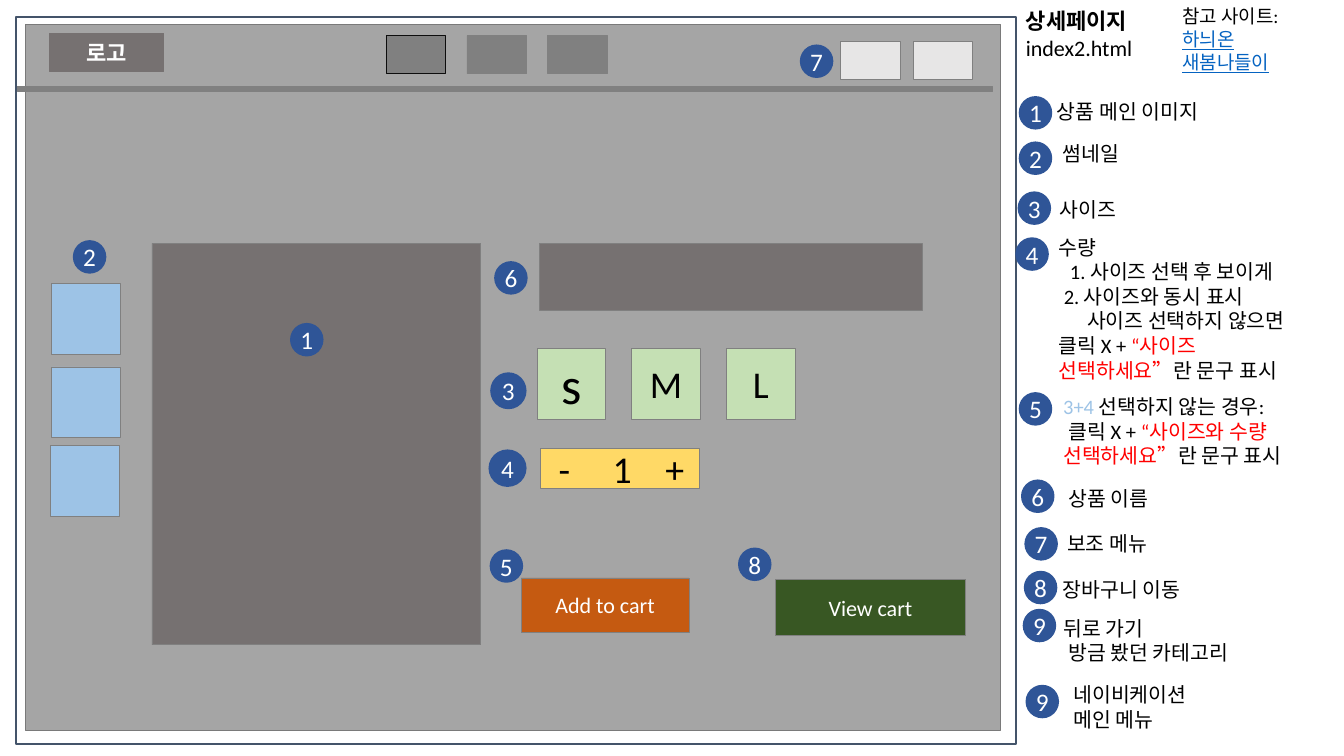
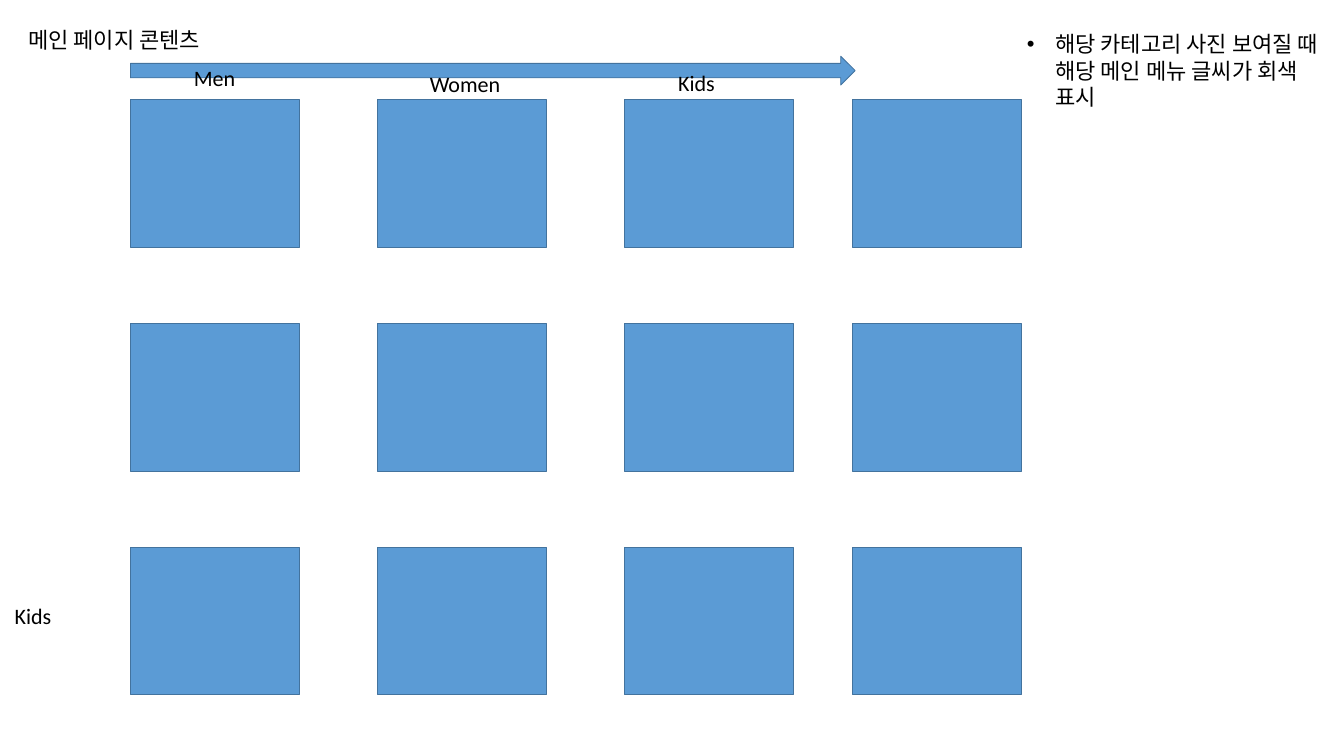
from collections import namedtuple
from lxml.etree import SubElement
from pptx import Presentation
from pptx.dml.color import RGBColor
from pptx.enum.shapes import MSO_SHAPE
from pptx.enum.text import MSO_ANCHOR, PP_ALIGN
from pptx.oxml.ns import qn
from pptx.util import Inches, Pt

# The grid: ten cells to the inch
COLS, ROWS = 237, 133.3
FONT = "Calibri"

BLACK = RGBColor(0x00, 0x00, 0x00)
WHITE = RGBColor(0xFF, 0xFF, 0xFF)
RED = RGBColor(0xFF, 0x00, 0x00)
LINK = RGBColor(0x05, 0x63, 0xC1)
NAVY = RGBColor(0x2F, 0x55, 0x97)
SLATE = RGBColor(0x44, 0x54, 0x6A)
SKY = RGBColor(0x9D, 0xC3, 0xE6)
BLUE = RGBColor(0x5B, 0x9B, 0xD5)
STEEL = RGBColor(0x43, 0x73, 0x9E)
PAGE = RGBColor(0xA5, 0xA5, 0xA5)
RIM = RGBColor(0x7A, 0x7A, 0x7A)
GRAY = RGBColor(0x80, 0x80, 0x80)
DARK = RGBColor(0x76, 0x71, 0x71)
PALE = RGBColor(0xE7, 0xE6, 0xE6)
INK = RGBColor(0x0D, 0x0D, 0x0D)
MINT = RGBColor(0xC5, 0xE0, 0xB4)
GOLD = RGBColor(0xFF, 0xD9, 0x66)
RUST = RGBColor(0xC5, 0x5A, 0x11)
GREEN = RGBColor(0x38, 0x57, 0x23)


class Box(namedtuple("Box", "x y w h")):
    """An area measured in grid cells."""

    def sub(self, x, y, w, h):
        return Box(self.x + x, self.y + y, w, h)

    def emu(self):
        return [Inches(n / 10) for n in self]


# A paragraph: runs of (text, colour) and a first-line indent in cells
Para = namedtuple("Para", "runs indent", defaults=(0,))


def style(para, size, color, bold=False, align=PP_ALIGN.LEFT):
    para.alignment = align
    font = para.font
    font.name, font.size, font.bold = FONT, Pt(size), bold
    font.color.rgb = color


def write(frame, lines, size, color=BLACK, **look):
    """Fill a text frame; a line is a string or a Para."""
    frame.word_wrap = True
    for i, line in enumerate(lines):
        para = frame.add_paragraph() if i else frame.paragraphs[0]
        style(para, size, color, **look)
        if isinstance(line, str):
            line = Para([(line, color)])
        if line.indent:
            para._p.get_or_add_pPr().set("indent", str(Inches(line.indent / 10)))
        for text, tint in line.runs:
            run = para.add_run()
            run.text = text
            if tint != color:
                run.font.color.rgb = tint


def label(slide, box, lines, size=28, **look):
    frame = slide.shapes.add_textbox(*box.emu()).text_frame
    write(frame, lines, size, **look)
    return frame


def draw(slide, box, fill, edge=GRAY, weight=1, kind=MSO_SHAPE.RECTANGLE,
         text=None, size=28, color=WHITE, bold=False):
    shape = slide.shapes.add_shape(kind, *box.emu())
    shape.shadow.inherit = False
    if fill is None:
        shape.fill.background()
    else:
        shape.fill.solid()
        shape.fill.fore_color.rgb = fill
    shape.line.color.rgb = edge
    shape.line.width = Pt(weight)
    if text:
        shape.text_frame.vertical_anchor = MSO_ANCHOR.MIDDLE
        write(shape.text_frame, [text], size, color, bold=bold, align=PP_ALIGN.CENTER)
    return shape


def badge(slide, box, num, x, y, w=5.6, h=5.6):
    shape = draw(slide, box.sub(x, y, w, h), NAVY, NAVY, 2.25, MSO_SHAPE.OVAL, str(num), 32)
    frame = shape.text_frame
    frame.margin_left = frame.margin_right = 0


# ---- Slide 1: product page ----
def header(slide, box):
    draw(slide, box.sub(5.6, 1.6, 20.2, 6.7), DARK, DARK, text="로고", bold=True)
    # Main menu, first entry active
    for i in range(3):
        draw(slide, box.sub(65 + 14.25 * i, 2, 10.5, 6.7), GRAY, GRAY if i else INK)
    # Side menu
    for i in range(2):
        draw(slide, box.sub(145.1 + 12.8 * i, 3, 10.5, 6.7), PALE)
    badge(slide, box, 7, 138.1, 3.7)
    draw(slide, box.sub(0, box.h - 1, box.w, 1), GRAY)


def gallery(slide, box):
    for x, y in ((0.2, 7.5), (0.2, 22.2), (0, 36.1)):
        draw(slide, box.sub(x, y, 12.1, 12.5), SKY)
    draw(slide, box.sub(17.9, 0.4, 58, 70.8), DARK)
    badge(slide, box, 1, 42.4, 14.6)
    badge(slide, box, 2, 4.1, 0)


def count(slide, box):
    """Quantity field with minus, number and plus on tab stops."""
    frame = draw(slide, box, GOLD).text_frame
    frame.vertical_anchor = MSO_ANCHOR.MIDDLE
    frame.margin_left = Inches(0.32)
    write(frame, ["-\t1\t+"], 48)
    props = frame.paragraphs[0]._p.get_or_add_pPr()
    tabs = SubElement(props, qn("a:tabLst"))
    for stop in (1.12, 2.05):
        SubElement(tabs, qn("a:tab"), pos=str(Inches(stop)), algn="ctr")
    props.insert(0, tabs)


def order(slide, box):
    draw(slide, box.sub(8.9, 0, 67.4, 11.8), DARK)
    for i, (name, size) in enumerate((("s", 66), ("M", 48), ("L", 48))):
        draw(slide, box.sub(8.4 + 16.7 * i, 18.5, 12.1, 12.5), MINT,
             text=name, size=size, color=BLACK)
    count(slide, box.sub(9, 36.1, 28, 7.2))
    draw(slide, box.sub(5.6, 59, 29.6, 9.6), RUST, text="Add to cart")
    draw(slide, box.sub(50.4, 59.2, 33.6, 10), GREEN, text="View cart")
    badge(slide, box, 6, 1, 3.3)
    badge(slide, box, 3, 0.3, 22.9, 6.1, 6.2)
    badge(slide, box, 4, 0, 36.5, 6.4, 6.3)
    badge(slide, box, 5, 0.2, 54.1)
    badge(slide, box, 8, 44, 53.8)


def title(slide, box):
    frame = label(slide, box.sub(0, 0.5, 33.9, 10.4), ["상세페이지", "index2.html"])
    frame.paragraphs[0].font.bold = True
    sites = label(slide, box.sub(27.6, 0, 28.4, 13.1),
                  ["참고 사이트:", "하늬온", "새봄나들이"], 24)
    for para in sites.paragraphs[1:]:
        para.font.color.rgb = LINK
        para.font.underline = True


AMOUNT = [
    "수량",
    Para([("1. 사이즈 선택 후 보이게", BLACK)], 2),
    Para([("2. 사이즈와 동시 표시", BLACK)], 0.9),
    Para([("사이즈 선택하지 않으면", BLACK)], 5),
    Para([("클릭 X + ", BLACK), ("“사이즈 선택하세요”", RED), ("란 문구 표시", BLACK)]),
]
MISSING = [
    Para([("3+4", SKY), (" 선택하지 않는 경우:", BLACK)]),
    Para([("클릭 X + ", BLACK), ("“사이즈와 수량 선택하세요”", RED),
          ("란 문구 표시", BLACK)], 0.9),
]
BACK = ["뒤로 가기", Para([("방금 봤던 카테고리", BLACK)], 0.9)]

# Number, badge x and y, text x and y, text
NOTES = [
    (1, 0.8, 17.1, 6.4, 17, ["상품 메인 이미지"]),
    (2, 0.8, 25.1, 7.4, 24.4, ["썸네일"]),
    (3, 0.6, 33.9, 6.9, 34.3, ["사이즈"]),
    (4, 0.2, 42, 6.7, 40.9, AMOUNT),
    (5, 0.8, 69.3, 7.5, 69, MISSING),
    (6, 1.2, 84.7, 8.4, 85.2, ["상품 이름"]),
    (7, 1.8, 93.1, 8.2, 93.1, ["보조 메뉴"]),
    (8, 1.7, 100.8, 7.4, 101.2, ["장바구니 이동"]),
    (9, 1.5, 107.5, 7.5, 108.1, BACK),
    (9, 2, 120.9, 9.3, 119.8, ["네이비케이션", "메인 메뉴"]),
]


def legend(slide, box):
    for num, x, y, left, top, lines in NOTES:
        badge(slide, box, num, x, y)
        rows = 1.1 + 4.3 * len(lines)
        label(slide, box.sub(left, top, min(49, box.w - left), rows), lines, 26)


def product(slide):
    page = Box(4.5, 4.3, 171.9, 124.5)
    draw(slide, page, PAGE, RIM)
    draw(slide, page.sub(-1.7, -1.3, 176.4, 128.2), None, SLATE, 3)
    header(slide, page.sub(-1.4, 0, page.w, 11.9))
    gallery(slide, page.sub(4.4, 38.2, 75.9, 71.2))
    order(slide, page.sub(81.8, 38.6, 84, 69.2))
    title(slide, Box(179.9, 0.4, 57, 14))
    legend(slide, Box(179, 0, COLS - 179, ROWS))


# ---- Slide 2: main page contents ----
def tiles(slide, box):
    for row in range(3):
        for x in (0, 43.6, 87.1, 127.3):
            draw(slide, box.sub(x, 39.45 * row, 29.8, 26), BLUE, STEEL)
    draw(slide, box.sub(0, -7.7, 127.8, 5.1), BLUE, STEEL, kind=MSO_SHAPE.RIGHT_ARROW)
    heads = (("Men", 10.2, -6.7), ("Women", 51.8, -5.7),
             ("Kids", 95.6, -5.9), ("Kids", -21.4, 88.1))
    for name, x, y in heads:
        label(slide, box.sub(x, y, 17.8, 5.7), [name])


def remark(slide, box, text):
    frame = label(slide, box, [text])
    props = frame.paragraphs[0]._p.get_or_add_pPr()
    props.set("marL", str(Inches(0.5)))
    props.set("indent", str(Inches(-0.5)))
    dot = SubElement(props, qn("a:buChar"), char="•")
    face = SubElement(props, qn("a:buFont"), typeface="Arial")
    props.insert(0, dot)
    props.insert(0, face)


def main(slide):
    label(slide, Box(4, 4.2, 43.6, 5.7), ["메인 페이지 콘텐츠"])
    tiles(slide, Box(23, 17.6, 157.1, 104.9))
    remark(slide, Box(180.1, 4.9, 56.9, 15.1),
           "해당 카테고리 사진 보여질 때 해당 메인 메뉴 글씨가 회색 표시")


deck = Presentation()
deck.slide_width, deck.slide_height = Inches(COLS / 10), Inches(ROWS / 10)
for build in (product, main):
    build(deck.slides.add_slide(deck.slide_layouts[6]))
deck.save("out.pptx")
